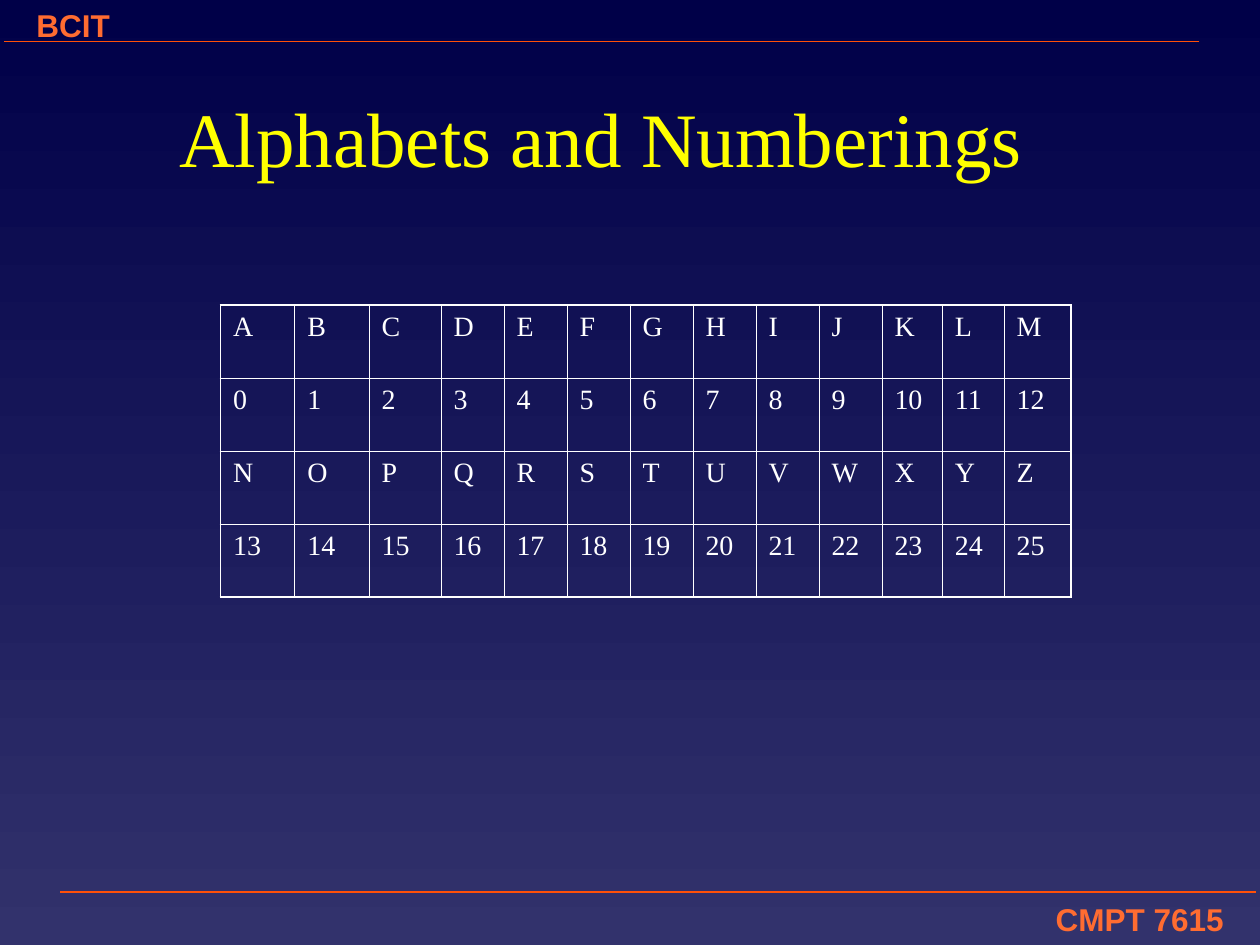
from dataclasses import dataclass

from lxml.etree import SubElement
from pptx import Presentation
from pptx.dml.color import RGBColor
from pptx.enum.shapes import MSO_CONNECTOR
from pptx.enum.text import MSO_ANCHOR, MSO_AUTO_SIZE, PP_ALIGN
from pptx.oxml.ns import qn
from pptx.slide import Slide
from pptx.util import Inches, Pt


@dataclass(frozen=True)
class Theme:
    background_top: str = "000048"
    background_bottom: str = "32326C"
    label: str = "FF6C31"
    rule: str = "FF5008"
    title: str = "FFFF00"
    table: str = "FFFFFF"
    label_font: str = "Arial"
    body_font: str = "Times New Roman"
    label_size: float = 18
    title_size: float = 44
    cell_size: float = 16
    rule_width: float = 1
    outer_border: float = 1.08
    inner_border: float = 0.45


@dataclass(frozen=True)
class Banner:
    text: str
    left: float
    top: float
    alignment: PP_ALIGN
    rule_start: float
    rule_end: float
    rule_top: float


THEME = Theme()
BANNERS = [
    Banner("CMPT 7615", 5.3, 7.09, PP_ALIGN.RIGHT, 9.97, 0.48, 7.08),
    Banner("BCIT", 0.19, 0, PP_ALIGN.LEFT, 9.52, 0.03, 0.33),
]
ALPHABET = "ABCDEFGHIJKLMNOPQRSTUVWXYZ"
COLUMN_WIDTHS = [0.59, 0.59, 0.57] + [0.5] * 7 + [0.48, 0.49, 0.53]
ROW_HEIGHT = 0.58


def format_runs(paragraph, font_name: str, size: float, color: str, bold: bool = False) -> None:
    for run in paragraph.runs:
        run.font.name = font_name
        run.font.size = Pt(size)
        run.font.bold = bold
        run.font.color.rgb = RGBColor.from_string(color)


def fill_background(slide: Slide) -> None:
    fill = slide.background.fill
    fill.gradient()
    fill.gradient_angle = 270
    colors = (THEME.background_top, THEME.background_bottom)
    for stop, color in zip(fill.gradient_stops, colors):
        stop.color.rgb = RGBColor.from_string(color)


def draw_banner(slide: Slide, banner: Banner) -> None:
    label = slide.shapes.add_textbox(
        Inches(banner.left), Inches(banner.top), Inches(4.51), Inches(0.4)
    )
    text_frame = label.text_frame
    text_frame.word_wrap = True
    text_frame.auto_size = MSO_AUTO_SIZE.SHAPE_TO_FIT_TEXT
    text_frame.text = banner.text
    paragraph = text_frame.paragraphs[0]
    paragraph.alignment = banner.alignment
    format_runs(paragraph, THEME.label_font, THEME.label_size, THEME.label, bold=True)

    rule = slide.shapes.add_connector(
        MSO_CONNECTOR.STRAIGHT,
        Inches(banner.rule_start),
        Inches(banner.rule_top),
        Inches(banner.rule_end),
        Inches(banner.rule_top),
    )
    rule.line.color.rgb = RGBColor.from_string(THEME.rule)
    rule.line.width = Pt(THEME.rule_width)
    SubElement(rule._element.spPr, qn("a:effectLst"))


def write_title(slide: Slide, text: str) -> None:
    title = slide.shapes.title
    title.left, title.top = Inches(1.22), Inches(0.42)
    title.width, title.height = Inches(7.56), Inches(1.33)
    text_frame = title.text_frame
    text_frame.text = text
    text_frame.word_wrap = True
    text_frame.auto_size = MSO_AUTO_SIZE.NONE
    text_frame.vertical_anchor = MSO_ANCHOR.MIDDLE
    text_frame.margin_right = Inches(0.56)
    paragraph = text_frame.paragraphs[0]
    paragraph.alignment = PP_ALIGN.CENTER
    format_runs(paragraph, THEME.body_font, THEME.title_size, THEME.title)


def draw_border(cell, side: str, width: float) -> None:
    line = SubElement(cell._tc.get_or_add_tcPr(), qn(f"a:{side}"), w=str(Pt(width)))
    solid_fill = SubElement(line, qn("a:solidFill"))
    SubElement(solid_fill, qn("a:srgbClr"), val=THEME.table)


def draw_table(slide: Slide, rows: list[list[str]]) -> None:
    table = slide.shapes.add_table(
        len(rows),
        len(COLUMN_WIDTHS),
        Inches(1.75),
        Inches(2.42),
        Inches(sum(COLUMN_WIDTHS)),
        Inches(ROW_HEIGHT * len(rows)),
    ).table
    table.first_row = False
    table.horz_banding = False
    for column, width in zip(table.columns, COLUMN_WIDTHS):
        column.width = Inches(width)
    last_row, last_column = len(rows) - 1, len(COLUMN_WIDTHS) - 1
    for row_index, row in enumerate(rows):
        for column_index, text in enumerate(row):
            cell = table.cell(row_index, column_index)
            cell.text_frame.text = text
            paragraph = cell.text_frame.paragraphs[0]
            format_runs(paragraph, THEME.body_font, THEME.cell_size, THEME.table)
            outer_sides = {
                "lnL": column_index == 0,
                "lnR": column_index == last_column,
                "lnT": row_index == 0,
                "lnB": row_index == last_row,
            }
            for side, is_outer in outer_sides.items():
                draw_border(cell, side, THEME.outer_border if is_outer else THEME.inner_border)
            cell.fill.background()


def main() -> None:
    presentation = Presentation()
    presentation.slide_width = Inches(10)
    presentation.slide_height = Inches(7.5)
    slide = presentation.slides.add_slide(presentation.slide_layouts[5])
    fill_background(slide)
    for banner in BANNERS:
        draw_banner(slide, banner)
    write_title(slide, "Alphabets and Numberings")

    column_count = len(COLUMN_WIDTHS)
    rows = []
    for start in range(0, len(ALPHABET), column_count):
        end = start + column_count
        rows.append(list(ALPHABET[start:end]))
        rows.append([str(number) for number in range(start, end)])
    draw_table(slide, rows)
    presentation.save("out.pptx")


if __name__ == "__main__":
    main()
